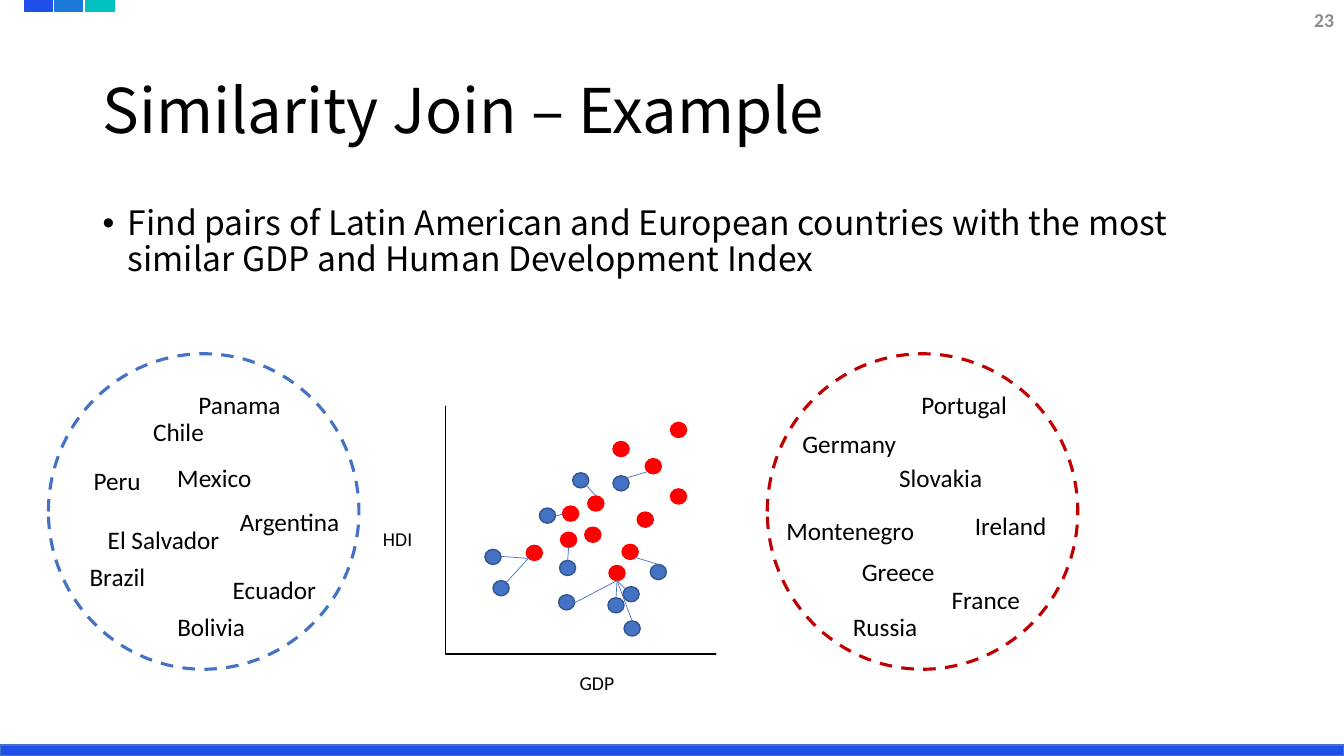
from lxml import etree
from pptx import Presentation
from pptx.dml.color import RGBColor
from pptx.enum import dml, shapes, text
from pptx.oxml.ns import qn
from pptx.util import Inches, Pt

BLACK, BLUE, RED = "000000", "4472C4", "FF0000"
HEADING_FONT = "Noto Sans CJK KR"


def add_shape(kind, x, y, w, h, line, fill=None, width=1):
    sp = s.shapes.add_shape(kind, Inches(x), Inches(y), Inches(w), Inches(h))
    sp.shadow.inherit = False
    if fill:
        sp.fill.solid()
        sp.fill.fore_color.rgb = RGBColor.from_string(fill)
    else:
        sp.fill.background()
    sp.line.color.rgb = RGBColor.from_string(line)
    sp.line.width = Pt(width)
    return sp


def write(sp, words, size, font="Calibri", color=BLACK, wrap=True):
    """Fill a text shape with one formatted paragraph and return the paragraph."""
    tf = sp.text_frame
    tf.text = words
    tf.word_wrap = wrap
    p = tf.paragraphs[0]
    f = p.runs[0].font
    f.size, f.name = Pt(size), font
    f.color.rgb = RGBColor.from_string(color)
    return p


prs = Presentation()
prs.slide_width, prs.slide_height = Inches(13.33), Inches(7.5)
s = prs.slides.add_slide(prs.slide_layouts[5])
RECT, OVAL = shapes.MSO_SHAPE.RECTANGLE, shapes.MSO_SHAPE.OVAL

# Page frame
add_shape(RECT, 0, 7.39, 13.33, 0.11, BLUE, "1F4EE9")
for x, color in ((0.24, "1F4EE9"), (0.54, "1B7AD9"), (0.85, "00C0C0")):
    add_shape(RECT, x, 0, 0.28, 0.11, color, color)
number = s.shapes.add_textbox(Inches(10.33), 0, Inches(3), Inches(0.4))
p = write(number, "23", 14, color="8C8C8C")
p.alignment = text.PP_ALIGN.RIGHT
p.runs[0].font.bold = True
number.text_frame.vertical_anchor = text.MSO_ANCHOR.MIDDLE

# Title and bullet
title = s.shapes.title
title.left, title.top = Inches(0.92), Inches(0.4)
title.width, title.height = Inches(11.5), Inches(1.45)
p = write(title, "Similarity Join – Example", 44, HEADING_FONT)
p.alignment = text.PP_ALIGN.LEFT
p.line_spacing = 0.9
title.text_frame.vertical_anchor = text.MSO_ANCHOR.MIDDLE

body = s.shapes.add_textbox(Inches(0.92), Inches(2), Inches(11.5), Inches(4.76))
p = write(body, "Find pairs of Latin American and European countries with the most "
          "similar GDP and Human Development Index", 24, HEADING_FONT)
pPr = p._p.get_or_add_pPr()
pPr.set("marL", str(Inches(0.25)))
pPr.set("indent", str(-Inches(0.25)))
etree.SubElement(pPr, qn("a:buFont")).set("typeface", "Arial")
etree.SubElement(pPr, qn("a:buChar")).set("char", "•")
p.line_spacing = 0.9

# Country sets
latin_america = [
    ("Chile", 1.42, 4.08, 0.71), ("Brazil", 0.79, 5.52, 0.76),
    ("Argentina", 2.28, 4.97, 1.2), ("Peru", 0.83, 4.57, 0.67),
    ("Bolivia", 1.66, 6.02, 0.88), ("Mexico", 1.66, 4.54, 0.94),
    ("Panama", 1.87, 3.81, 1.02), ("El Salvador", 0.97, 5.15, 1.32),
    ("Ecuador", 2.21, 5.65, 1.04),
]
europe = [
    ("France", 9.34, 5.75, 0.89), ("Portugal", 9.04, 3.81, 1.06),
    ("Germany", 7.86, 4.2, 1.14), ("Russia", 8.36, 6.02, 0.85),
    ("Greece", 8.45, 5.47, 0.93), ("Ireland", 9.57, 5.01, 0.92),
    ("Montenegro", 7.7, 5.06, 1.48), ("Slovakia", 8.82, 4.54, 1.03),
]
for left, color, countries in ((0.48, BLUE, latin_america), (7.61, "C00000", europe)):
    circle = add_shape(OVAL, left, 3.51, 3.08, 3.13, color, width=2.25)
    circle.line.dash_style = dml.MSO_LINE.DASH
    for country, x, y, w in countries:
        label = s.shapes.add_textbox(Inches(x), Inches(y), Inches(w), Inches(0.4))
        write(label, country, 18, wrap=False)

# Scatter plot: axes, points and nearest pairs
axes = add_shape(shapes.MSO_SHAPE.CORNER, 4.42, 4.03, 2.68, 2.46, BLACK, BLACK)
axes.adjustments[0] = axes.adjustments[1] = 0
for name, x, y, w in (("GDP", 5.65, 6.61, 0.73), ("HDI", 3.7, 5.18, 0.66)):
    label = s.shapes.add_textbox(Inches(x), Inches(y), Inches(w), Inches(0.34))
    write(label, name, 14)

latin_points = [
    (4.81, 5.45), (6.08, 4.72), (5.54, 5.9), (5.55, 5.56), (4.89, 5.76), (6.03, 5.93),
    (5.35, 5.04), (6.18, 5.82), (6.19, 6.16), (6.45, 5.6), (5.68, 4.69),
]
europe_points = [
    (6.04, 5.61), (5.83, 4.92), (5.56, 5.28), (6.4, 4.55), (6.32, 5.08), (6.17, 5.4),
    (6.65, 4.85), (5.8, 5.23), (5.58, 5.02), (5.22, 5.41), (6.65, 4.19), (6.08, 4.38),
]
for points, fill, line in ((latin_points, BLUE, "325491"), (europe_points, RED, RED)):
    for x, y in points:
        add_shape(OVAL, x, y, 0.16, 0.15, line, fill)

pairs = [
    (6.22, 4.74, 6.42, 4.68), (5.82, 4.82, 5.91, 4.92), (5.51, 5.12, 5.58, 5.1),
    (4.97, 5.52, 5.24, 5.54), (5.02, 5.78, 5.24, 5.54), (6.27, 6.16, 6.12, 5.76),
    (5.63, 5.56, 5.64, 5.43), (6.53, 5.6, 6.3, 5.53), (5.7, 5.98, 6.12, 5.76),
    (6.11, 5.93, 6.12, 5.76), (6.2, 5.84, 6.12, 5.76),
]
for ends in pairs:
    link = s.shapes.add_connector(shapes.MSO_CONNECTOR.STRAIGHT, *map(Inches, ends))
    link.line.color.rgb = RGBColor.from_string(BLUE)
    link.line.width = Pt(0.5)
    etree.SubElement(link._element.spPr, qn("a:effectLst"))

prs.save("out.pptx")
